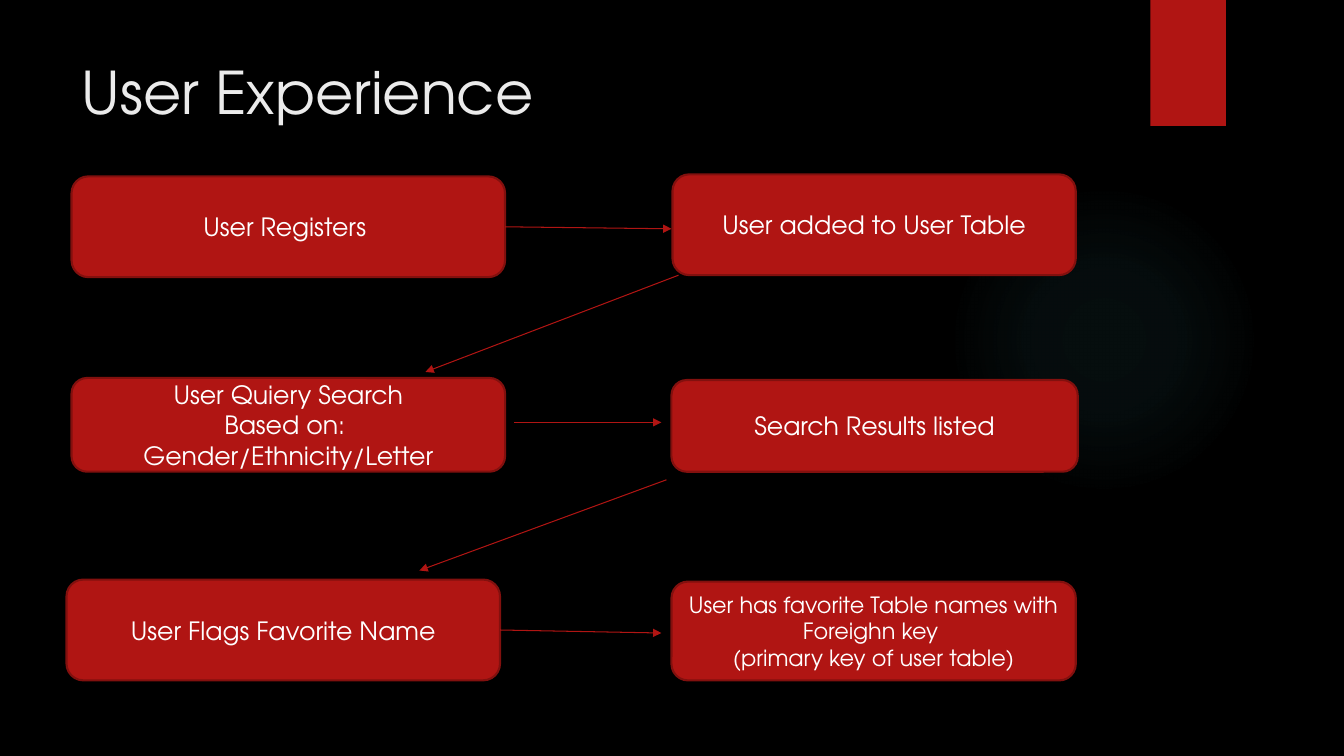
"""Build the User Experience flow slide."""
from lxml.etree import SubElement as Sub
from pptx import Presentation
from pptx.dml.color import RGBColor
from pptx.enum.shapes import MSO_CONNECTOR as Link, MSO_SHAPE as Kind
from pptx.enum.text import MSO_ANCHOR as Anchor, PP_ALIGN as Align
from pptx.oxml import parse_xml
from pptx.oxml.ns import nsdecls, qn
from pptx.util import Inches, Pt

FONT = "TeX Gyre Adventor"
BLACK = RGBColor(0x00, 0x00, 0x00)
RED = RGBColor(0xB0, 0x15, 0x13)
EDGE = RGBColor(0x82, 0x10, 0x0E)
WHITE = RGBColor(0xFF, 0xFF, 0xFF)
PALE = RGBColor(0xEB, 0xEB, 0xEB)
GLOW = RGBColor(0x50, 0xB9, 0xC1)

TITLE = "User Experience"
COLS = (0.71, 6.66)
TOP, PITCH = 1.75, 2
# (column, row), (nudge), (size), font size, lines
STEPS = [
    ((0, 0), (0, 0), (4.3, 1), 18, ["User Registers "]),
    ((1, 0), (0.01, -0.02), (4, 1), 18, ["User added to User Table"]),
    ((0, 1), (0, 0), (4.3, 0.93), 18,
     ["User Quiery Search", "Based on: ", "Gender/Ethnicity/Letter"]),
    ((1, 1), (0, 0.02), (4.03, 0.91), 18, ["Search Results listed"]),
    ((0, 2), (-0.05, 0), (4.3, 1), 18, ["User Flags Favorite Name"]),
    ((1, 2), (0, 0.02), (4.01, 0.98), 16,
     ["User has favorite Table names with ", "Foreighn key ",
      "(primary key of user table)"]),
]
ARROWS = [
    (5.01, 2.25, 6.66, 2.27),
    (6.73, 2.73, 4.22, 3.69),
    (5.1, 4.19, 6.56, 4.19),
    (6.61, 4.76, 4.16, 5.66),
    (4.96, 6.25, 6.56, 6.28),
]
STOPS = [(0, 7), (36, 6), (69, 0)]


def place(slide, kind, *box):
    shape = slide.shapes.add_shape(kind, *map(Inches, box))
    shape.shadow.inherit = False
    shape.fill.solid()
    shape.fill.fore_color.rgb = RED
    shape.line.fill.background()
    return shape


def add_glow(slide):
    glow = place(slide, Kind.OVAL, 9.41, 1.83, 3.08, 3.08)
    stops = "".join(
        f'<a:gs pos="{pos * 1000}"><a:srgbClr val="{GLOW}">'
        f'<a:alpha val="{alpha * 1000}"/></a:srgbClr></a:gs>'
        for pos, alpha in STOPS)
    grad = parse_xml(
        f'<a:gradFill {nsdecls("a")}><a:gsLst>{stops}</a:gsLst>'
        '<a:path path="circle"><a:fillToRect l="50000" t="50000" '
        'r="50000" b="50000"/></a:path></a:gradFill>')
    props = glow.element.spPr
    props.replace(props.find(qn("a:solidFill")), grad)


def add_title(slide):
    title = slide.shapes.title
    title.left, title.top, title.width, title.height = map(
        Inches, (0.71, 0.5, 10.29, 1.53))
    frame = title.text_frame
    frame.text = TITLE
    frame.vertical_anchor = Anchor.TOP
    style(frame.paragraphs[0], 42, PALE, Align.LEFT)


def style(para, size, color, align):
    para.alignment = align
    para.font.name = FONT
    para.font.size = Pt(size)
    para.font.color.rgb = color


def add_step(slide, cell, nudge, size, points, lines):
    col, row = cell
    left = COLS[col] + nudge[0]
    top = TOP + row * PITCH + nudge[1]
    box = place(slide, Kind.ROUNDED_RECTANGLE, left, top, *size)
    box.line.color.rgb = EDGE
    box.line.width = Pt(1.5)
    frame = box.text_frame
    frame.word_wrap = True
    frame.vertical_anchor = Anchor.MIDDLE
    frame.text = "\n".join(lines)
    for para in frame.paragraphs:
        style(para, points, WHITE, Align.CENTER)


def add_arrow(slide, *ends):
    arrow = slide.shapes.add_connector(Link.STRAIGHT, *map(Inches, ends))
    arrow.line.color.rgb = RED
    arrow.line.width = Pt(0.75)
    Sub(arrow.line._get_or_add_ln(), qn("a:tailEnd"), type="triangle")
    Sub(arrow.element.spPr, qn("a:effectLst"))


def main():
    deck = Presentation()
    deck.slide_width, deck.slide_height = Inches(13.33), Inches(7.5)
    slide = deck.slides.add_slide(deck.slide_layouts[5])
    slide.background.fill.solid()
    slide.background.fill.fore_color.rgb = BLACK
    add_glow(slide)
    place(slide, Kind.RECTANGLE, 11.41, 0, 0.75, 1.25)
    add_title(slide)
    for step in STEPS:
        add_step(slide, *step)
    for ends in ARROWS:
        add_arrow(slide, *ends)
    deck.save("out.pptx")


if __name__ == "__main__":
    main()
